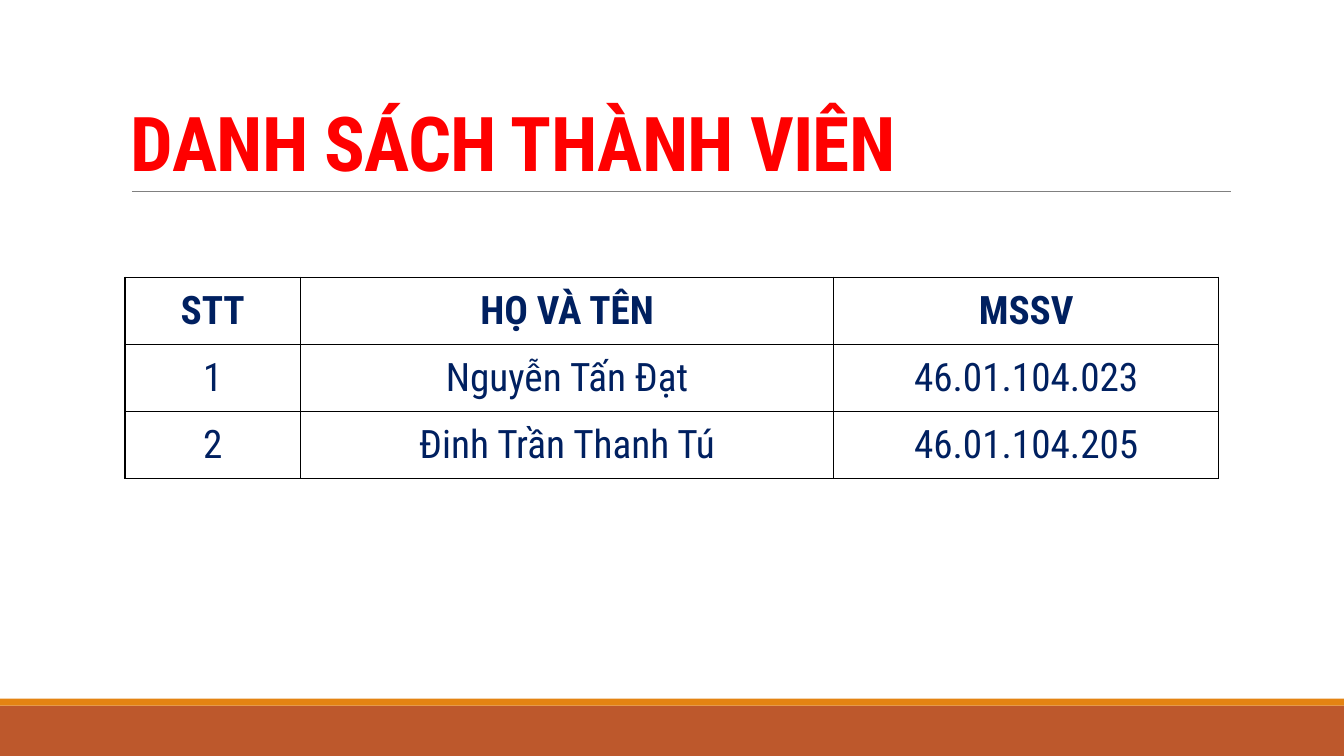
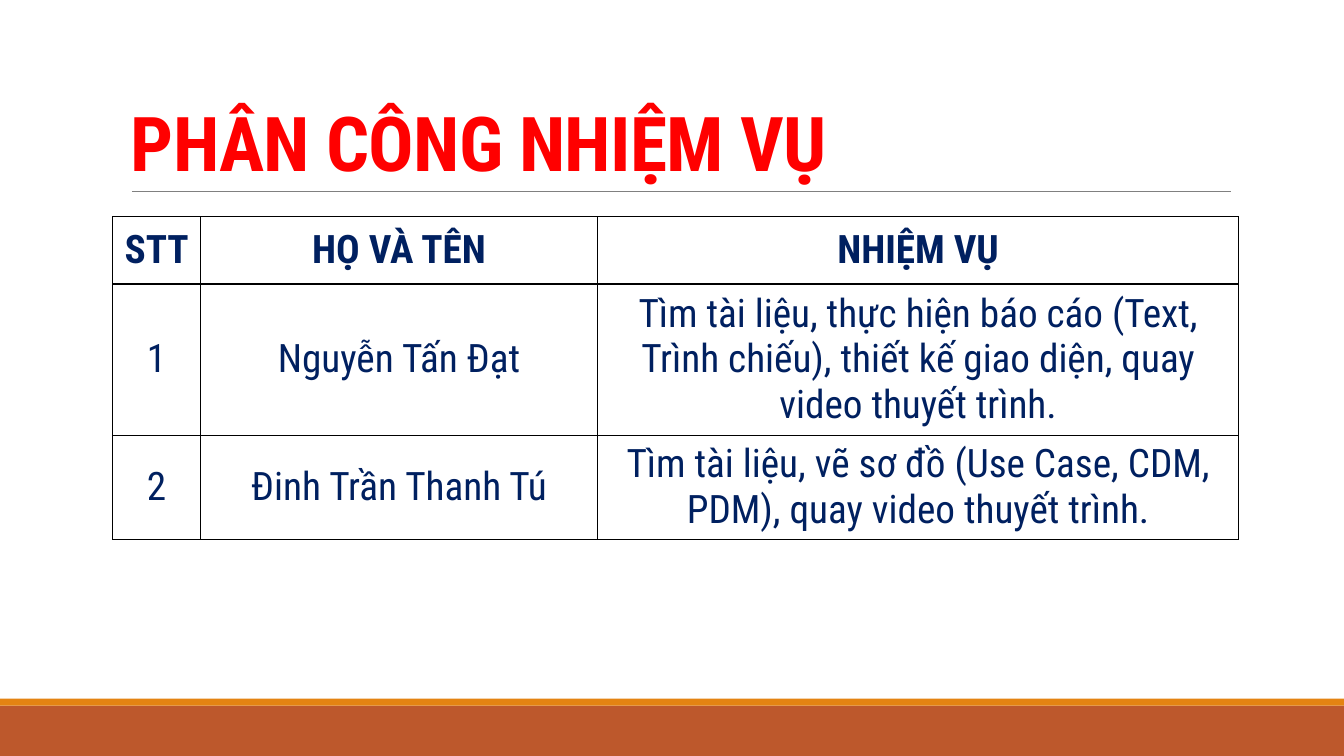
from dataclasses import dataclass

from lxml.etree import SubElement
from pptx import Presentation
from pptx.dml.color import RGBColor
from pptx.enum.shapes import MSO_CONNECTOR, MSO_SHAPE
from pptx.enum.text import MSO_ANCHOR, PP_ALIGN
from pptx.oxml.ns import qn
from pptx.util import Pt


@dataclass(frozen=True)
class Theme:
    font: str = "Roboto Condensed"
    title_size: int = 54
    cell_size: int = 28
    title: str = "FF0000"
    text: str = "002060"
    rule: str = "808080"
    border: str = "000000"
    band: str = "BD582C"
    stripe: str = "E48312"


THEME = Theme()
WIDTH, HEIGHT = 960, 540
BAND_HEIGHT, STRIPE_HEIGHT = 36, 5
TITLE_BOTTOM = 136.8
ROW_HEIGHT = 48


def add_run(paragraph, text, size, color, bold):
    run = paragraph.add_run()
    run.text = text
    run.font.name = THEME.font
    run.font.size = Pt(size)
    run.font.bold = bold
    run.font.color.rgb = RGBColor.from_string(color)
    return run


def add_band(slide, top, height, color):
    band = slide.shapes.add_shape(
        MSO_SHAPE.RECTANGLE, Pt(0), Pt(top), Pt(WIDTH), Pt(height))
    band.shadow.inherit = False
    band.fill.solid()
    band.fill.fore_color.rgb = RGBColor.from_string(color)
    band.line.fill.background()


def add_title_rule(slide):
    rule = slide.shapes.add_connector(
        MSO_CONNECTOR.STRAIGHT,
        Pt(94.3), Pt(TITLE_BOTTOM), Pt(879), Pt(TITLE_BOTTOM))
    rule.line.color.rgb = RGBColor.from_string(THEME.rule)
    rule.line.width = Pt(0.5)
    SubElement(rule._element.spPr, qn("a:effectLst"))


def add_title(slide, text):
    top = 22.5
    title = slide.shapes.add_textbox(
        Pt(86.4), Pt(top), Pt(792), Pt(TITLE_BOTTOM - top))
    frame = title.text_frame
    frame.word_wrap = True
    frame.vertical_anchor = MSO_ANCHOR.BOTTOM
    paragraph = frame.paragraphs[0]
    paragraph.line_spacing = 0.85
    run = add_run(paragraph, text, THEME.title_size, THEME.title, True)
    run.font._element.set("spc", "-50")


def add_cell_borders(cell):
    properties = cell._tc.get_or_add_tcPr()
    for side in ("lnL", "lnR", "lnT", "lnB"):
        border = SubElement(properties, qn(f"a:{side}"), w=str(Pt(1)))
        fill = SubElement(border, qn("a:solidFill"))
        SubElement(fill, qn("a:srgbClr"), val=THEME.border)


def add_member_table(slide, left, top, widths, heights, rows):
    table = slide.shapes.add_table(
        len(rows), len(widths), Pt(left), Pt(top),
        Pt(sum(widths)), Pt(sum(heights))).table
    table.horz_banding = False
    for column, width in zip(table.columns, widths):
        column.width = Pt(width)
    for row, height in zip(table.rows, heights):
        row.height = Pt(height)
    for row_index, row in enumerate(rows):
        for column_index, text in enumerate(row):
            cell = table.cell(row_index, column_index)
            add_cell_borders(cell)
            cell.fill.background()
            cell.vertical_anchor = MSO_ANCHOR.MIDDLE
            paragraph = cell.text_frame.paragraphs[0]
            paragraph.alignment = PP_ALIGN.CENTER
            add_run(paragraph, text, THEME.cell_size, THEME.text,
                    row_index == 0)


def add_framed_slide(deck, title):
    """Blank slide with the shared bands, rule and title."""
    slide = deck.slides.add_slide(deck.slide_layouts[6])
    band_top = HEIGHT - BAND_HEIGHT
    add_band(slide, band_top, BAND_HEIGHT, THEME.band)
    add_band(slide, band_top - STRIPE_HEIGHT, STRIPE_HEIGHT, THEME.stripe)
    add_title_rule(slide)
    add_title(slide, title)
    return slide


def main():
    deck = Presentation()
    deck.slide_width, deck.slide_height = Pt(WIDTH), Pt(HEIGHT)
    members = ["Nguyễn Tấn Đạt", "Đinh Trần Thanh Tú"]

    def numbered(heading, details):
        header = ("STT", "HỌ VÀ TÊN", heading)
        return [header] + [
            (str(number), name, detail)
            for number, (name, detail) in enumerate(zip(members, details), 1)]

    # Member list
    member_list = add_framed_slide(deck, "DANH SÁCH THÀNH VIÊN")
    add_member_table(
        member_list, 89.3, 198, (125.3, 380.9, 275), (ROW_HEIGHT,) * 3,
        numbered("MSSV", ["46.01.104.023", "46.01.104.205"]))

    # Task assignment
    assignment = add_framed_slide(deck, "PHÂN CÔNG NHIỆM VỤ")
    add_member_table(
        assignment, 80.6, 154.8, (62.6, 283.7, 457.9), (ROW_HEIGHT, 105, 73),
        numbered("NHIỆM VỤ", [
            "Tìm tài liệu, thực hiện báo cáo (Text, Trình chiếu), "
            "thiết kế giao diện, quay video thuyết trình.",
            "Tìm tài liệu, vẽ sơ đồ (Use Case, CDM, PDM), "
            "quay video thuyết trình."]))

    deck.save("out.pptx")


if __name__ == "__main__":
    main()
